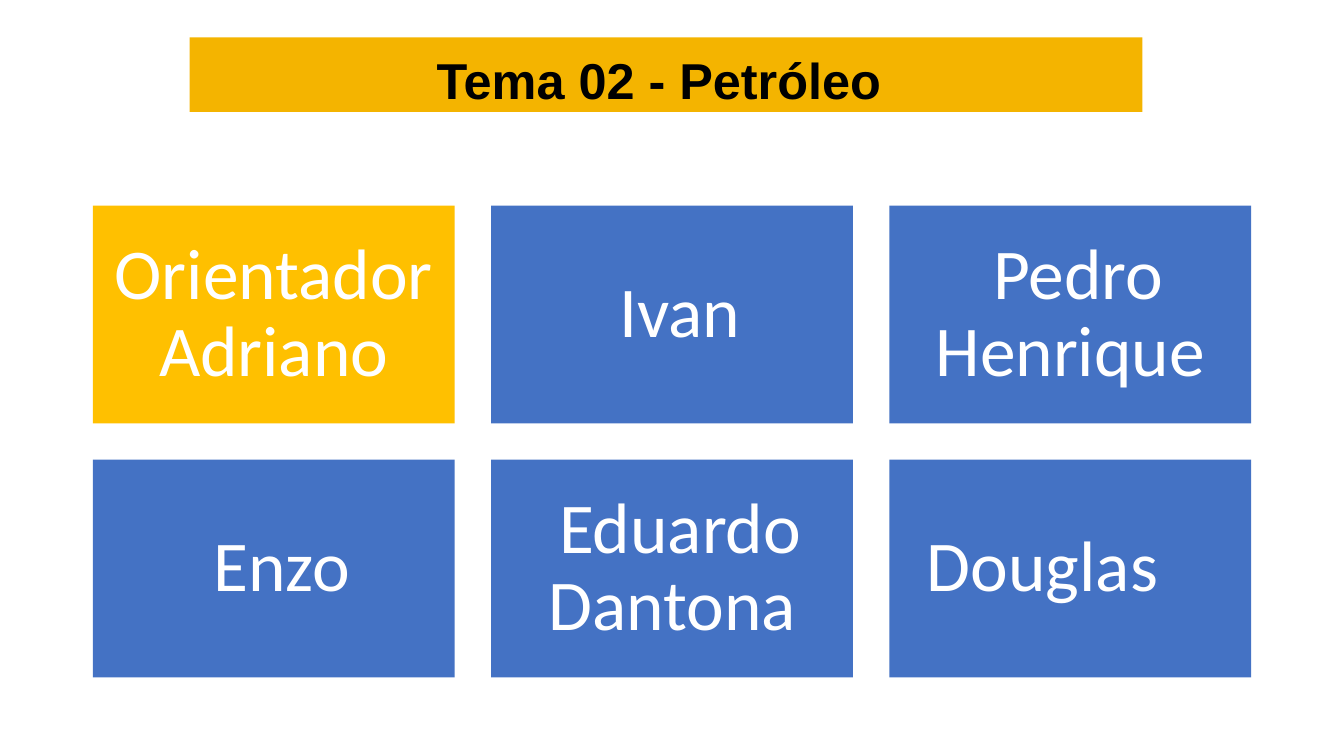
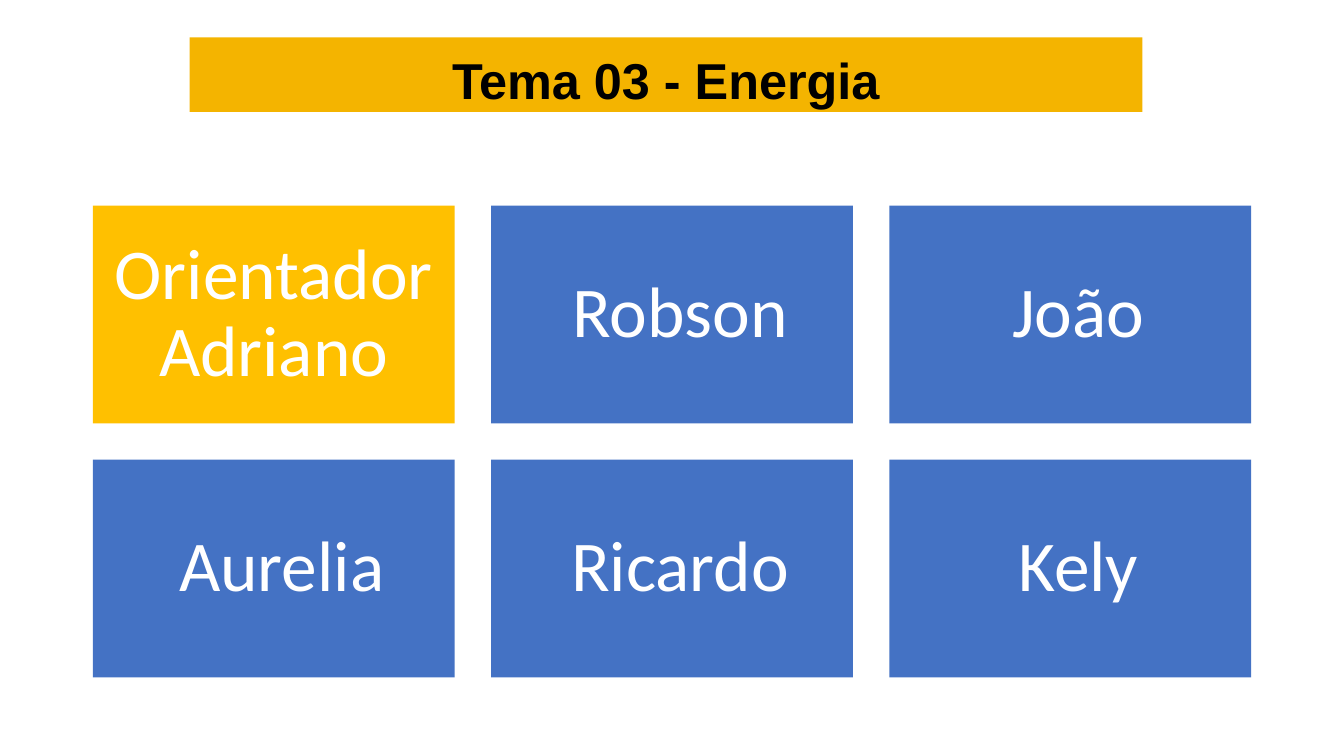
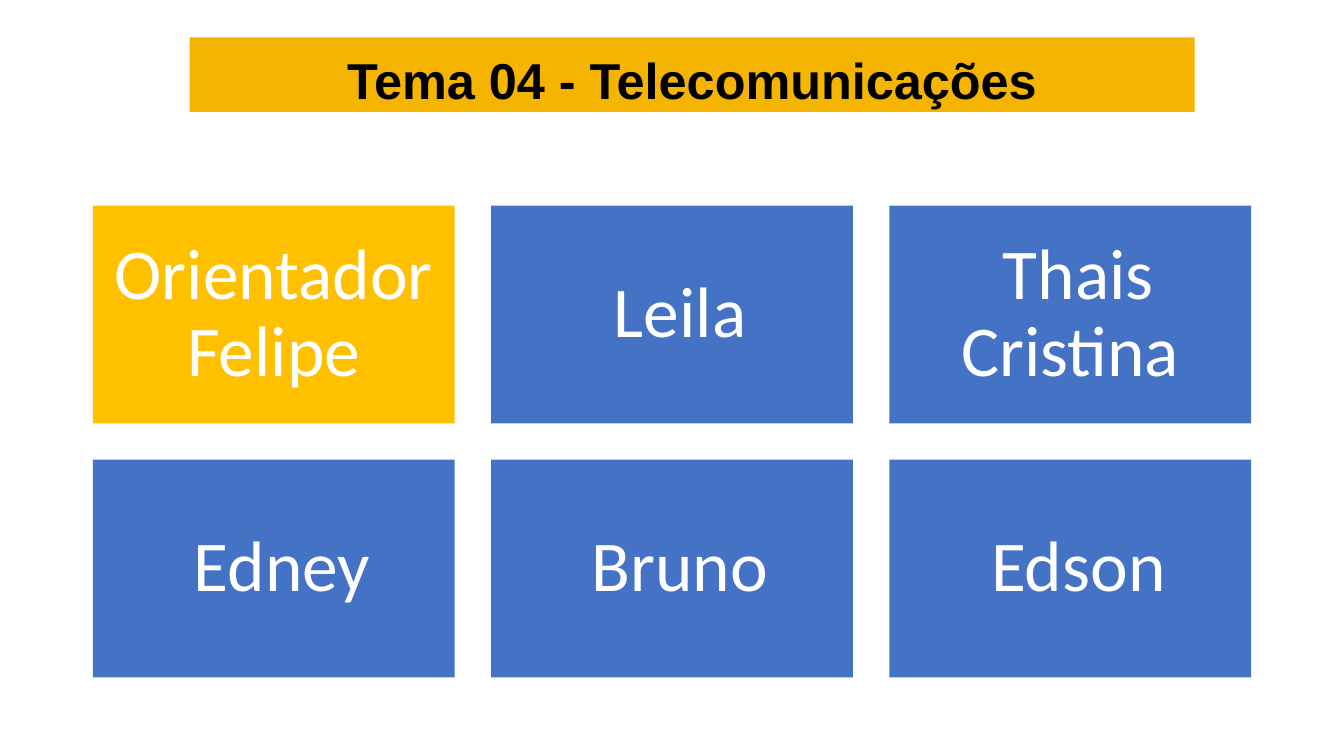
"""Build three theme slides, each with a title band and a grid of team members."""
import pptx
import pptx.dml.color
import pptx.enum.shapes
import pptx.enum.text
import pptx.util

COLORS = {
    "band": "F4B400",
    "advisor": "FFC000",
    "member": "4472C4",
    "title": "000000",
    "name": "FFFFFF",
}
SLIDE_WIDTH, SLIDE_HEIGHT = 13.33, 7.5
BAND_LEFT, BAND_TOP, BAND_HEIGHT = 1.88, 0.37, 0.74
BAND_WIDTH, WIDE_BAND_WIDTH = 9.45, 9.97
GRID_LEFT, GRID_TOP, GRID_COLUMNS = 0.92, 2.04, 3
TILE_WIDTH, TILE_HEIGHT, TILE_GAP = 3.59, 2.16, 0.36
BAND_INSET, TILE_INSET = 0.1, 0.21
SHIFTED_INSETS = {" Douglas": (0, 0.71)}

THEMES = [
    ("Tema 02 - Petróleo ", BAND_WIDTH,
     ["Orientador Adriano", " Ivan", " Pedro Henrique",
      " Enzo", " Eduardo Dantona", " Douglas"]),
    ("Tema 03 - Energia", BAND_WIDTH,
     ["Orientador Adriano", " Robson", " João",
      " Aurelia", " Ricardo", " Kely"]),
    ("Tema 04 - Telecomunicações", WIDE_BAND_WIDTH,
     ["Orientador Felipe", " Leila", " Thais Cristina",
      " Edney", " Bruno", " Edson"]),
]


def color(name):
    return pptx.dml.color.RGBColor.from_string(COLORS[name])


def add_box(slide, left, top, width, height, fill, text, inset, spacing):
    shape = slide.shapes.add_shape(
        pptx.enum.shapes.MSO_SHAPE.RECTANGLE,
        *(pptx.util.Inches(length) for length in (left, top, width, height)))
    shape.shadow.inherit = False
    shape.fill.solid()
    shape.fill.fore_color.rgb = color(fill)
    shape.line.fill.background()
    frame = shape.text_frame
    frame.word_wrap = True
    frame.vertical_anchor = pptx.enum.text.MSO_ANCHOR.MIDDLE
    frame.margin_left = frame.margin_right = pptx.util.Inches(inset)
    frame.margin_top = frame.margin_bottom = pptx.util.Inches(inset)
    frame.text = text
    paragraph = frame.paragraphs[0]
    paragraph.alignment = pptx.enum.text.PP_ALIGN.CENTER
    paragraph.line_spacing = spacing
    return shape


def format_text(shape, font_name, size, font_color, bold=False):
    font = shape.text_frame.paragraphs[0].runs[0].font
    font.name = font_name
    font.size = pptx.util.Pt(size)
    font.bold = bold
    font.color.rgb = color(font_color)


def add_title_band(slide, title, width):
    band = add_box(slide, BAND_LEFT, BAND_TOP, width, BAND_HEIGHT,
                   "band", title, BAND_INSET, 1.15)
    format_text(band, "Arial", 36, "title", bold=True)


def add_team_grid(slide, names):
    for index, name in enumerate(names):
        row, column = divmod(index, GRID_COLUMNS)
        tile = add_box(slide,
                       GRID_LEFT + column * (TILE_WIDTH + TILE_GAP),
                       GRID_TOP + row * (TILE_HEIGHT + TILE_GAP),
                       TILE_WIDTH, TILE_HEIGHT,
                       "member" if index else "advisor", name, TILE_INSET, 0.9)
        format_text(tile, "Calibri", 51, "name")
        left, right = SHIFTED_INSETS.get(name, (TILE_INSET, TILE_INSET))
        tile.text_frame.margin_left = pptx.util.Inches(left)
        tile.text_frame.margin_right = pptx.util.Inches(right)


def main():
    presentation = pptx.Presentation()
    presentation.slide_width = pptx.util.Inches(SLIDE_WIDTH)
    presentation.slide_height = pptx.util.Inches(SLIDE_HEIGHT)
    for title, band_width, names in THEMES:
        slide = presentation.slides.add_slide(presentation.slide_layouts[6])
        add_title_band(slide, title, band_width)
        add_team_grid(slide, names)
    presentation.save("out.pptx")


if __name__ == "__main__":
    main()
